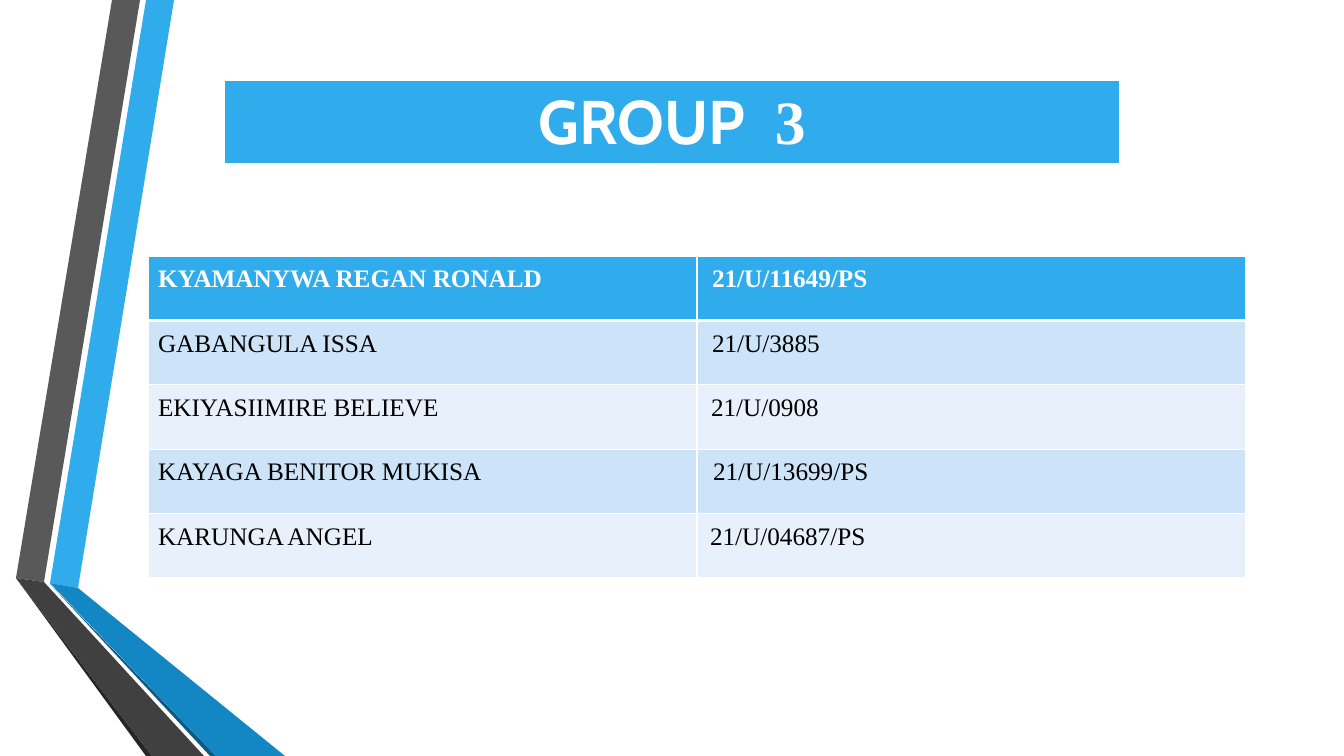
from lxml import etree
from pptx import Presentation
from pptx.dml.color import RGBColor
from pptx.enum.text import PP_ALIGN
from pptx.oxml.ns import qn
from pptx.util import Pt

CENTER, LEFT = PP_ALIGN.CENTER, PP_ALIGN.LEFT
EMU_PER_PX = 914400 / 100.8
WHITE = RGBColor(0xFF, 0xFF, 0xFF)
BLACK = RGBColor(0x00, 0x00, 0x00)
SKY = RGBColor(0x30, 0xAC, 0xEC)
BLUE = RGBColor(0x12, 0x87, 0xC3)
NAVY = RGBColor(0x0C, 0x5A, 0x82)
GREY = RGBColor(0x59, 0x59, 0x59)
DARK_GREY = RGBColor(0x40, 0x40, 0x40)
SHADOW_GREY = RGBColor(0x26, 0x26, 0x26)
BAND = RGBColor(0xCD, 0xE3, 0xF8)
PALE_BAND = RGBColor(0xE8, 0xF1, 0xFB)
TITLE_FONT, BODY_FONT = "Cabin", "Times New Roman"

RIBBONS = [
    (SKY, [(50, 583), (78, 588), (174, 0), (146, 0)]),
    (GREY, [(140, 0), (112, 0), (16, 578), (44, 582)]),
    (SHADOW_GREY, [(16, 578), (146, 756), (152, 756)]),
    (NAVY, [(50, 584), (210, 756), (216, 756)]),
    (BLUE, [(50, 583), (216, 756), (285, 756), (78, 588)]),
    (DARK_GREY, [(204, 756), (44, 582), (16, 578), (152, 756)]),
]
MEMBERS = [
    ("KYAMANYWA REGAN RONALD", "21/U/11649/PS", 5),
    ("GABANGULA ISSA", "21/U/3885", 5),
    ("EKIYASIIMIRE BELIEVE", "21/U/0908", 4),
    ("KAYAGA BENITOR MUKISA", "21/U/13699/PS", 6),
    ("KARUNGA ANGEL", "21/U/04687/PS", 3),
]


def px(n):
    """Turn pixels into EMU."""
    return round(n * EMU_PER_PX)


class SlideBuilder:
    """Holds the slide and draws its elements in pixel units."""

    def __init__(self, slide):
        self.s = slide

    def ribbon(self, color, points):
        """Draw one filled polygon."""
        builder = self.s.shapes.build_freeform(*points[0], scale=EMU_PER_PX)
        builder.add_line_segments(points[1:], close=True)
        sp = builder.convert_to_shape()
        sp.shadow.inherit = False
        sp.fill.solid()
        sp.fill.fore_color.rgb = color
        sp.line.fill.background()

    def table(self, x, y, w, h, rows, cols):
        """Add an evenly divided table without its banded style."""
        table = self.s.shapes.add_table(rows, cols, px(x), px(y), px(w), px(h)).table
        table.first_row = table.horz_banding = False
        for row in table.rows:
            row.height = px(h / rows)
        return table

    def cell(self, cell, runs, size, color, fill, bold=False, align=LEFT,
             indent=0, spacing=1.0, top=1, bottom=1):
        """Fill a cell with (text, font) runs, white borders and a colour."""
        p = cell.text_frame.paragraphs[0]
        p.alignment, p.line_spacing = align, spacing
        p.font.size, p.font.bold = Pt(size), bold
        p.font.color.rgb = color
        if indent:
            p._p.get_or_add_pPr().set("marL", str(px(indent)))
        for text, font in runs:
            r = p.add_run()
            r.text, r.font.name = text, font
        tc_pr = cell._tc.get_or_add_tcPr()
        for side, width in (("L", 1), ("R", 1), ("T", top), ("B", bottom)):
            ln = etree.SubElement(tc_pr, qn(f"a:ln{side}"), w=str(Pt(width)))
            solid = etree.SubElement(ln, qn("a:solidFill"))
            etree.SubElement(solid, qn("a:srgbClr"), val=str(WHITE))
        cell.fill.solid()
        cell.fill.fore_color.rgb = fill


def main():
    """Build the group members slide."""
    prs = Presentation()
    prs.slide_width, prs.slide_height = px(1344), px(756)
    s = SlideBuilder(prs.slides.add_slide(prs.slide_layouts[6]))

    for color, points in RIBBONS:
        s.ribbon(color, points)

    members = s.table(148, 256, 1098, 322, len(MEMBERS), 2)
    for i, (name, number, indent) in enumerate(MEMBERS):
        head = i == 0
        color = WHITE if head else BLACK
        fill = SKY if head else (PALE_BAND, BAND)[i % 2]
        for j, (text, left) in enumerate([(name, 0), (number, indent)]):
            s.cell(members.cell(i, j), [(text, BODY_FONT)], 18, color, fill,
                   bold=head, indent=left, spacing=1.15,
                   top=3 if i == 1 else 1, bottom=3 if head else 1)

    title = s.table(224, 80, 896, 83, 1, 1)
    s.cell(title.cell(0, 0), [("GROUP ", TITLE_FONT), (" 3", BODY_FONT)], 44,
           WHITE, SKY, bold=True, align=CENTER, bottom=3)

    prs.save("out.pptx")


if __name__ == "__main__":
    main()
